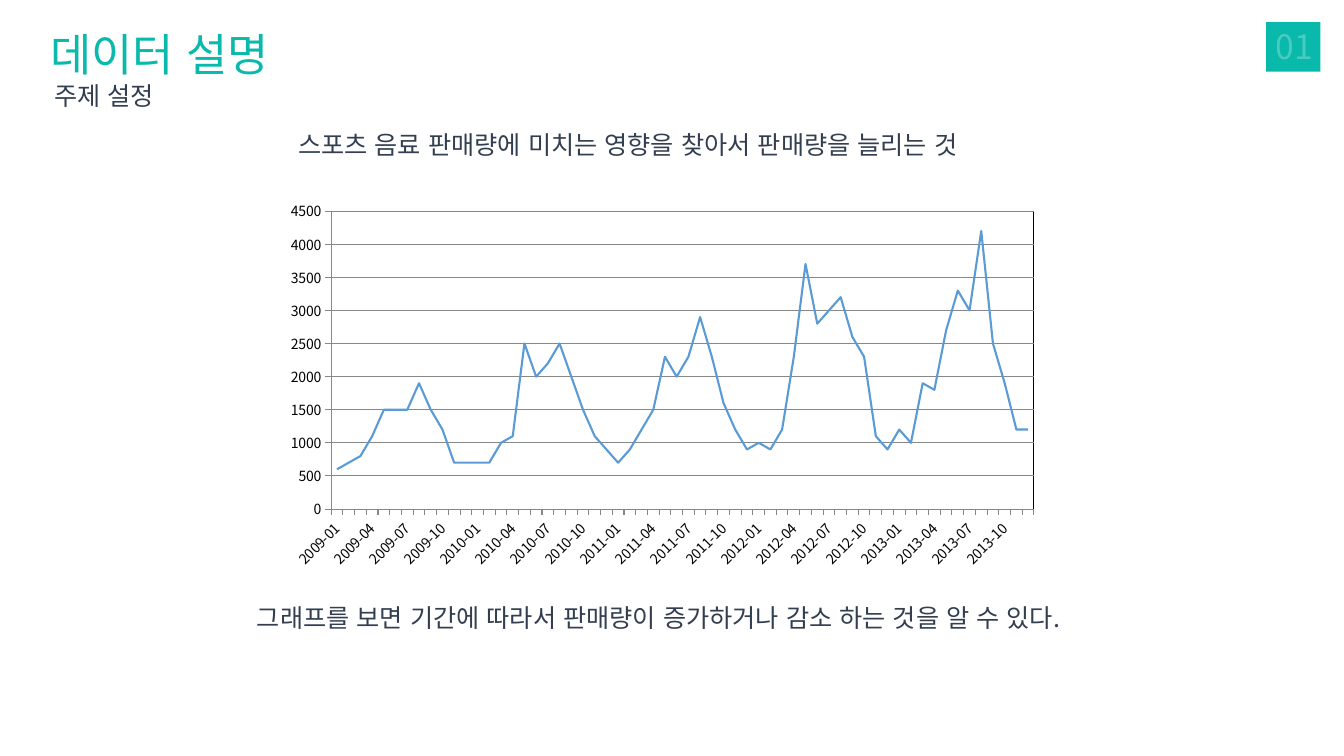
"""Build the sports drink sales slide with its monthly line chart."""
from dataclasses import dataclass

import lxml.etree
import pptx
import pptx.chart.data
import pptx.dml.color
import pptx.enum.chart
import pptx.enum.lang
import pptx.enum.shapes
import pptx.enum.text
import pptx.oxml
import pptx.oxml.ns
import pptx.util

Pt = pptx.util.Pt
qn = pptx.oxml.ns.qn


@dataclass(frozen=True)
class Theme:
    font: str = "Noto Sans CJK KR"
    teal: str = "09B9AB"
    navy: str = "333F50"
    white: str = "FFFFFF"
    black: str = "000000"
    blue: str = "5B9BD5"
    grey: str = "878787"
    title: float = 32
    number: float = 24
    body: float = 18
    axis: float = 10
    outline_alpha: int = 25


@dataclass(frozen=True)
class Label:
    text: str
    left: float
    top: float
    width: float
    height: float
    size: float
    color: str
    wrap: bool = False
    alpha: int = 100


THEME = Theme()

LABELS = [
    Label("데이터 설명", 28.8, 15.84, 186.48, 46.08, THEME.title, THEME.teal),
    Label("주제 설정", 31.68, 54, 93.6, 28.8, THEME.body, THEME.navy),
    Label("01", 904.32, 15.12, 41.04, 36, THEME.number, THEME.white, alpha=25),
    Label("스포츠 음료 판매량에 미치는 영향을 찾아서 판매량을 늘리는 것",
          205.92, 88.56, 547.92, 28.8, THEME.body, THEME.navy, wrap=True),
    Label("그래프를 보면 기간에 따라서 판매량이 증가하거나 감소 하는 것을 알 수 있다.",
          176.4, 426.96, 663.84, 28.8, THEME.body, THEME.navy, wrap=True),
]

SALES = {
    2009: (600, 700, 800, 1100, 1500, 1500, 1500, 1900, 1500, 1200, 700, 700),
    2010: (700, 700, 1000, 1100, 2500, 2000, 2200, 2500, 2000, 1500, 1100, 900),
    2011: (700, 900, 1200, 1500, 2300, 2000, 2300, 2900, 2300, 1600, 1200, 900),
    2012: (1000, 900, 1200, 2300, 3700, 2800, 3000, 3200, 2600, 2300, 1100, 900),
    2013: (1200, 1000, 1900, 1800, 2700, 3300, 3000, 4200, 2500, 1900, 1200, 1200),
}


def rgb(color: str) -> pptx.dml.color.RGBColor:
    return pptx.dml.color.RGBColor.from_string(color)


def add_alpha(fill, percent: int) -> None:
    alpha = lxml.etree.SubElement(fill[0], qn("a:alpha"))
    alpha.set("val", str(percent * 1000))


def add_label(page, label: Label) -> None:
    box = page.shapes.add_textbox(
        Pt(label.left), Pt(label.top), Pt(label.width), Pt(label.height))
    frame = box.text_frame
    frame.word_wrap = label.wrap
    frame.auto_size = pptx.enum.text.MSO_AUTO_SIZE.SHAPE_TO_FIT_TEXT
    add_span(frame.paragraphs[0], label.text, size=label.size,
             color=label.color, alpha=label.alpha)


def add_span(para, text: str, *, size: float, color: str, alpha: int) -> None:
    span = para.add_run()
    span.text = text
    span.font.size = Pt(size)
    span.font.name = THEME.font
    span.font.language_id = pptx.enum.lang.MSO_LANGUAGE_ID.KOREAN
    span.font.color.rgb = rgb(color)
    props = span.font._element
    if alpha < 100:
        add_alpha(props.find(qn("a:solidFill")), alpha)
    east_asian = lxml.etree.SubElement(props, qn("a:ea"))
    east_asian.set("typeface", THEME.font)
    outline = pptx.oxml.parse_xml(line_xml(color, 0.75))
    add_alpha(outline[0], THEME.outline_alpha)
    props.insert(0, outline)


def line_xml(color: str, width: float) -> str:
    return (f'<a:ln {pptx.oxml.ns.nsdecls("a")} w="{Pt(width)}"><a:solidFill>'
            f'<a:srgbClr val="{color}"/></a:solidFill></a:ln>')


def add_badge(page) -> None:
    badge = page.shapes.add_shape(pptx.enum.shapes.MSO_SHAPE.RECTANGLE,
                                  Pt(904.32), Pt(15.84), Pt(38.88), Pt(35.28))
    badge.rotation = 180
    badge.shadow.inherit = False
    badge.fill.solid()
    badge.fill.fore_color.rgb = rgb(THEME.teal)
    badge.line.fill.background()


def format_axis(axis) -> None:
    axis.major_tick_mark = pptx.enum.chart.XL_TICK_MARK.OUTSIDE
    axis.format.line.color.rgb = rgb(THEME.grey)
    axis.format.line.width = Pt(0.75)
    axis.tick_labels.font.size = Pt(THEME.axis)


def frame_plot(chart) -> None:
    area = chart._chartSpace.chart.plotArea
    for layout in area.findall(qn("c:layout")):
        area.remove(layout)
    bounds = "".join(f'<c:{name} val="{value}"/>' for name, value in (
        ("layoutTarget", "inner"), ("xMode", "edge"), ("yMode", "edge"),
        ("x", 0.071), ("y", 0.046), ("w", 0.908), ("h", 0.778)))
    names = pptx.oxml.ns.nsdecls("c", "a")
    area.insert(0, pptx.oxml.parse_xml(
        f"<c:layout {names}><c:manualLayout>{bounds}</c:manualLayout></c:layout>"))
    area.append(pptx.oxml.parse_xml(
        f"<c:spPr {names}><a:noFill/>{line_xml(THEME.black, 0.75)}</c:spPr>"))


def add_sales_chart(page) -> None:
    data = pptx.chart.data.CategoryChartData()
    data.categories = [f"{year}-{month:02}" for year in SALES for month in range(1, 13)]
    data.add_series("Series 1", [value for year in SALES.values() for value in year])
    chart = page.shapes.add_chart(
        pptx.enum.chart.XL_CHART_TYPE.LINE,
        Pt(197.28), Pt(138.24), Pt(552.96), Pt(273.6), data).chart
    chart.has_legend = False
    chart.has_title = False
    chart.font.name = THEME.font
    chart.font.size = Pt(THEME.axis)
    chart.font.color.rgb = rgb(THEME.black)

    plot = chart.plots[0]
    plot.vary_by_categories = False
    series = plot.series[0]
    series.smooth = False
    series.marker.style = pptx.enum.chart.XL_MARKER_STYLE.NONE
    series.format.line.color.rgb = rgb(THEME.blue)
    series.format.line.width = Pt(1.5)

    months, amounts = chart.category_axis, chart.value_axis
    for axis in (months, amounts):
        format_axis(axis)
    months._element.find(qn("c:txPr"))[0].set("rot", "-2700000")
    amounts.minimum_scale, amounts.maximum_scale = 0, 4500
    amounts.major_unit = 500
    amounts.has_major_gridlines = True
    amounts.major_gridlines.format.line.color.rgb = rgb(THEME.grey)
    amounts.major_gridlines.format.line.width = Pt(0.75)
    frame_plot(chart)


def main() -> None:
    deck = pptx.Presentation()
    deck.slide_width, deck.slide_height = Pt(960), Pt(540)
    page = deck.slides.add_slide(deck.slide_layouts[6])
    add_badge(page)
    add_sales_chart(page)
    for label in LABELS:
        add_label(page, label)
    deck.save("out.pptx")


if __name__ == "__main__":
    main()
